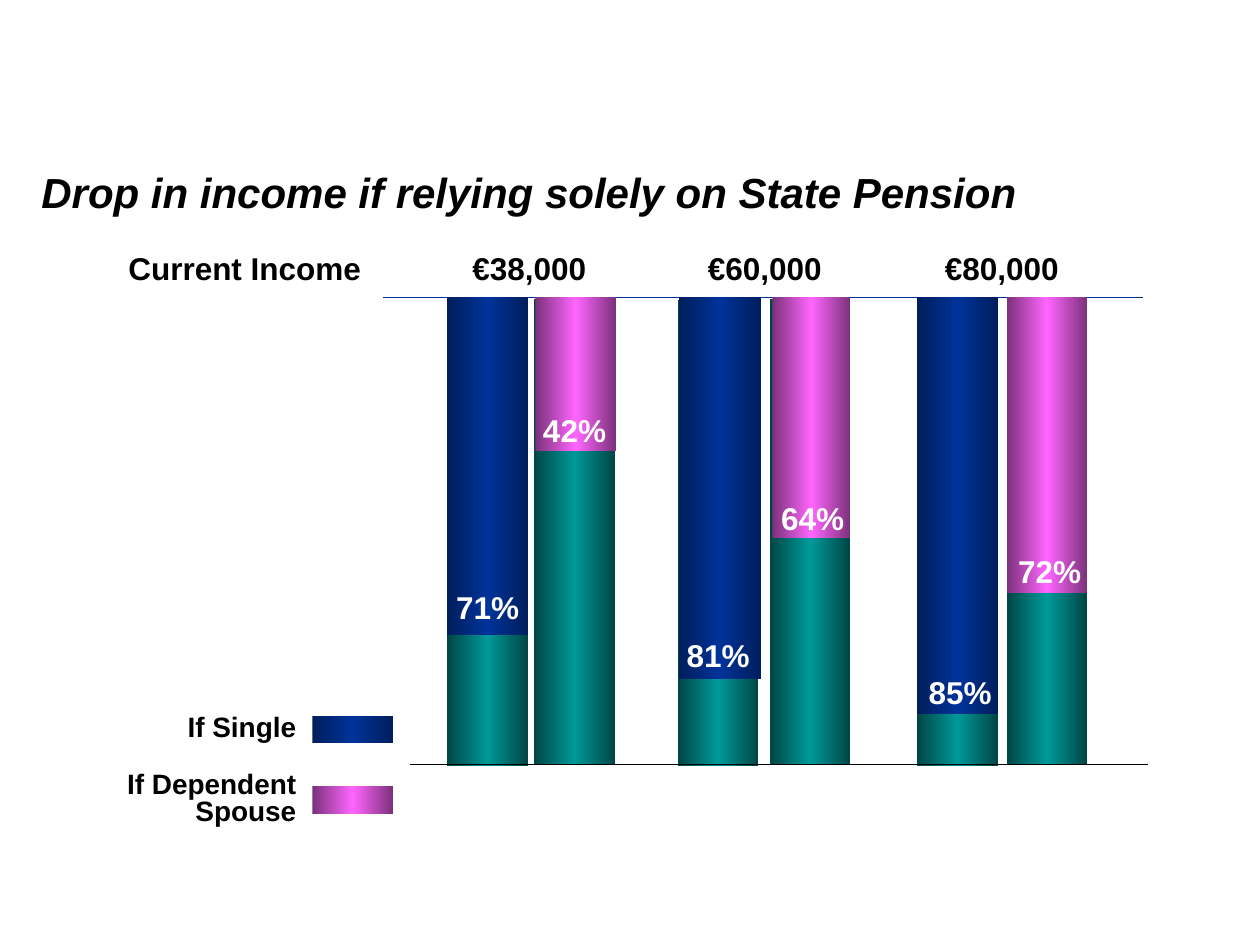
"""Build a slide showing the drop in income for people relying on the State Pension."""
from copy import deepcopy
from dataclasses import dataclass

from pptx import Presentation
from pptx.dml.color import RGBColor
from pptx.enum.shapes import MSO_CONNECTOR, MSO_SHAPE
from pptx.enum.text import MSO_ANCHOR, MSO_AUTO_SIZE, PP_ALIGN
from pptx.oxml.ns import qn
from pptx.oxml.xmlchemy import OxmlElement
from pptx.shapes.shapetree import SlideShapes
from pptx.text.text import TextFrame
from pptx.util import Inches, Pt

RECTANGLE = MSO_SHAPE.RECTANGLE
STRAIGHT = MSO_CONNECTOR.STRAIGHT
MIDDLE = MSO_ANCHOR.MIDDLE
NO_AUTOFIT, GROW = MSO_AUTO_SIZE.NONE, MSO_AUTO_SIZE.SHAPE_TO_FIT_TEXT
LEFT, CENTER, RIGHT = PP_ALIGN.LEFT, PP_ALIGN.CENTER, PP_ALIGN.RIGHT

FONT = "Arial"
COLORS = {
    "text": "000000",
    "percent": "FFFFFF",
    "income_line": "003399",
    "base_line": "000000",
    "pension_edge": "004646",
    "pension_middle": "009999",
    "single_edge": "001E5C",
    "single_middle": "003399",
    "spouse_edge": "7B317B",
    "spouse_middle": "FF66FF",
}
BAR_TOP, BAR_WIDTH, BAR_HEIGHT = 2.36, 0.64, 3.7
LABEL_HEIGHT, PERCENT_WIDTH, INCOME_WIDTH = 0.4, 0.7, 1.14
INCOME_TOP = 1.93
KEY_LEFT, KEY_HEIGHT, KEY_TEXT_RIGHT = 2.48, 0.22, 2.45


@dataclass(frozen=True)
class Bar:
    household: str
    left: float
    pension_top: float
    drop_left: float
    drop_width: float
    drop_height: float
    percent: str
    percent_left: float
    percent_top: float


@dataclass(frozen=True)
class Income:
    amount: str
    left: float


@dataclass(frozen=True)
class KeyEntry:
    household: str
    label: str
    swatch_top: float
    text_top: float
    text_width: float
    text_height: float
    line_spacing: float


BARS = [
    Bar("single", 3.55, 2.38, 3.55, 0.64, 2.68, "71%", 3.52, 4.62),
    Bar("spouse", 4.24, 2.37, 4.25, 0.64, 1.22, "42%", 4.21, 3.21),
    Bar("single", 5.38, 2.38, 5.39, 0.65, 3.03, "81%", 5.35, 5.0),
    Bar("spouse", 6.11, 2.37, 6.13, 0.62, 1.91, "64%", 6.1, 3.91),
    Bar("single", 7.28, 2.38, 7.28, 0.64, 3.31, "85%", 7.27, 5.29),
    Bar("spouse", 7.99, 2.37, 7.99, 0.64, 2.35, "72%", 7.98, 4.33),
]
INCOMES = [Income("€38,000", 3.63), Income("€60,000", 5.5), Income("€80,000", 7.38)]
KEY = [
    KeyEntry("single", "If Single", 5.68, 5.58, 1.2, 0.37, 1.0),
    KeyEntry("spouse", "If Dependent Spouse", 6.24, 6.09, 1.91, 0.53, 0.8),
]


def rgb(color: str) -> RGBColor:
    return RGBColor.from_string(COLORS[color])


def add_gradient_bar(shapes: SlideShapes, color: str, left: float, top: float,
                     width: float, height: float) -> None:
    bar = shapes.add_shape(RECTANGLE, Inches(left), Inches(top),
                           Inches(width), Inches(height))
    bar.shadow.inherit = False
    bar.line.fill.background()
    bar.fill.gradient()
    bar.fill.gradient_angle = 0
    stop_list = bar.element.spPr.find(qn("a:gradFill")).find(qn("a:gsLst"))
    stop_list.append(deepcopy(stop_list[0]))
    shades = (f"{color}_edge", f"{color}_middle", f"{color}_edge")
    for stop, position, shade in zip(bar.fill.gradient_stops, (0, 0.5, 1), shades):
        stop.position = position
        stop.color.rgb = rgb(shade)


def write(frame: TextFrame, text: str, size: int, align: PP_ALIGN,
          color: str = "text", italic: bool = False, spacing: float = 1.0) -> None:
    frame.text = text
    paragraph = frame.paragraphs[0]
    paragraph.alignment = align
    paragraph.line_spacing = spacing
    font = paragraph.runs[0].font
    font.name, font.size, font.bold, font.italic = FONT, Pt(size), True, italic
    font.color.rgb = rgb(color)


def add_label(shapes: SlideShapes, text: str, left: float, top: float, width: float,
              height: float = LABEL_HEIGHT, size: int = 18, align: PP_ALIGN = CENTER,
              color: str = "text", wrap: bool = False, spacing: float = 1.0) -> None:
    frame = shapes.add_textbox(Inches(left), Inches(top),
                               Inches(width), Inches(height)).text_frame
    frame.word_wrap = wrap
    frame.auto_size = GROW
    write(frame, text, size, align, color, spacing=spacing)


def add_rule(shapes: SlideShapes, color: str, start: float, end: float, top: float) -> None:
    rule = shapes.add_connector(STRAIGHT, Inches(start), Inches(top),
                                Inches(end), Inches(top))
    rule.line.color.rgb = rgb(color)
    rule.line.width = Pt(0.75)
    rule.element.spPr.append(OxmlElement("a:effectLst"))


def main() -> None:
    presentation = Presentation()
    presentation.slide_width, presentation.slide_height = Inches(10), Inches(7.5)
    slide = presentation.slides.add_slide(presentation.slide_layouts[5])
    shapes = slide.shapes

    title = shapes.title
    title.left, title.top = Inches(-0.27), Inches(1.39)
    title.width, title.height = Inches(8.44), Inches(0.26)
    title.text_frame.auto_size = NO_AUTOFIT
    title.text_frame.vertical_anchor = MIDDLE
    write(title.text_frame, "Drop in income if relying solely on State Pension",
          24, RIGHT, italic=True)

    for bar in BARS:
        add_gradient_bar(shapes, "pension", bar.left, bar.pension_top,
                         BAR_WIDTH, BAR_HEIGHT)

    add_label(shapes, "Current Income", 0.92, INCOME_TOP, 2.21, align=LEFT, wrap=True)
    for income in INCOMES:
        add_label(shapes, income.amount, income.left, INCOME_TOP, INCOME_WIDTH)
    add_rule(shapes, "income_line", 3.04, 9.07, 2.36)

    for bar in BARS:
        add_gradient_bar(shapes, bar.household, bar.drop_left, BAR_TOP,
                         bar.drop_width, bar.drop_height)
        add_label(shapes, bar.percent, bar.percent_left, bar.percent_top,
                  PERCENT_WIDTH, color="percent")

    for entry in KEY:
        add_label(shapes, entry.label, KEY_TEXT_RIGHT - entry.text_width, entry.text_top,
                  entry.text_width, entry.text_height, 16, RIGHT,
                  wrap=True, spacing=entry.line_spacing)
        add_gradient_bar(shapes, entry.household, KEY_LEFT, entry.swatch_top,
                         BAR_WIDTH, KEY_HEIGHT)
    add_rule(shapes, "base_line", 3.25, 9.11, 6.07)

    presentation.save("out.pptx")


if __name__ == "__main__":
    main()
